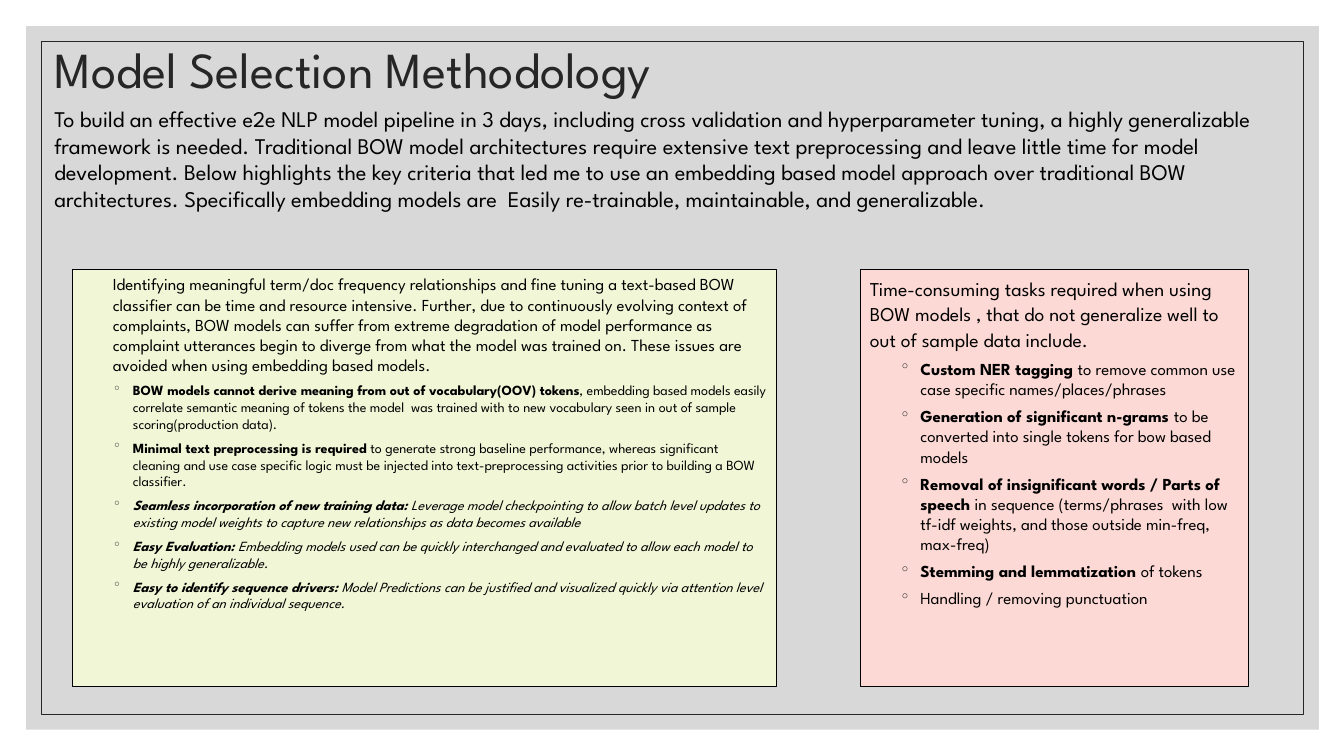
"""Build the Model Selection Methodology slide."""
import pptx
import pptx.util
import pptx.dml.color
import pptx.enum.shapes
import pptx.enum.text
import pptx.oxml.ns
from lxml import etree

Inches, Pt = pptx.util.Inches, pptx.util.Pt
FONT = "League Spartan"
COLORS = {
    "backdrop": "BFBFBF", "dark": "262626", "black": "000000",
    "benefits": "F1F6D6", "drawbacks": "FCD9D5",
}


def add_run(paragraph, text, size, color="black", bold=False, italic=False):
    run = paragraph.add_run()
    run.text = text
    run.font.name = FONT
    run.font.size = Pt(size)
    run.font.bold = bold
    run.font.italic = italic
    run.font.color.rgb = pptx.dml.color.RGBColor.from_string(COLORS[color])


def add_panel(left, top, width, height, fill=None, line=None, weight=0.75):
    panel = slide.shapes.add_shape(
        pptx.enum.shapes.MSO_SHAPE.RECTANGLE,
        Inches(left), Inches(top), Inches(width), Inches(height))
    panel.shadow.inherit = False
    if fill:
        panel.fill.solid()
        panel.fill.fore_color.rgb = pptx.dml.color.RGBColor.from_string(COLORS[fill])
    else:
        panel.fill.background()
    if line:
        panel.line.color.rgb = pptx.dml.color.RGBColor.from_string(COLORS[line])
        panel.line.width = Pt(weight)
    else:
        panel.line.fill.background()
    return panel


prs = pptx.Presentation()
prs.slide_width, prs.slide_height = Inches(13.33), Inches(7.5)
slide = prs.slides.add_slide(prs.slide_layouts[5])

backdrop = add_panel(0.26, 0.26, 12.82, 6.98, fill="backdrop")
backdrop_color = backdrop.fill._xPr.find(".//" + pptx.oxml.ns.qn("a:srgbClr"))
etree.SubElement(backdrop_color, pptx.oxml.ns.qn("a:alpha"), val="60000")
add_panel(0.41, 0.41, 12.52, 6.68, line="dark", weight=0.5)

title = slide.shapes.title
slide.shapes._spTree.append(title._element)
title.left, title.top = Inches(0.44), Inches(0.44)
title.width, title.height = Inches(11), Inches(0.56)
title.text_frame.auto_size = pptx.enum.text.MSO_AUTO_SIZE.NONE
title.text_frame.vertical_anchor = pptx.enum.text.MSO_ANCHOR.MIDDLE
heading = title.text_frame.paragraphs[0]
heading.alignment = pptx.enum.text.PP_ALIGN.LEFT
heading.line_spacing = 0.9
add_run(heading, "Model Selection Methodology", 36, "dark")

cards = [
    {
        "left": 0.72, "width": 6.98, "fill": "benefits",
        "lead": "Identifying meaningful term/doc frequency relationships and fine tuning a text-based BOW classifier can be time and resource intensive. Further, due to continuously evolving context of complaints, BOW models can suffer from extreme degradation of model performance as complaint utterances begin to diverge from what the model was trained on. These issues are avoided when using embedding based models.",
        "lead_size": 12, "lead_indent": 0.3, "lead_spacing": 1.0, "point_size": 10,
        "points": [
            ("BOW models cannot derive meaning from out of vocabulary(OOV) tokens", ", embedding based models easily correlate semantic meaning of tokens the model  was trained with to new vocabulary seen in out of sample scoring(production data).", False),
            ("Minimal text preprocessing is required ", "to generate strong baseline performance, whereas significant cleaning and use case specific logic must be injected into text-preprocessing activities prior to building a BOW classifier.", False),
            ("Seamless incorporation of new training data: ", "Leverage model checkpointing to allow batch level updates to existing model weights to capture new relationships as data becomes available", True),
            ("Easy Evaluation: ", "Embedding models used can be quickly interchanged and evaluated to allow each model to be highly generalizable.", True),
            ("Easy to identify sequence drivers: ", "Model Predictions can be justified and visualized quickly via attention level evaluation of an individual sequence.", True),
        ],
    },
    {
        "left": 8.53, "width": 3.85, "fill": "drawbacks",
        "lead": "Time-consuming tasks required when using BOW models , that do not generalize well to out of sample data include.",
        "lead_size": 14, "lead_indent": 0, "lead_spacing": 1.1, "point_size": 12,
        "points": [
            ("Custom NER tagging ", "to remove common use case specific names/places/phrases", False),
            ("Generation of significant n-grams ", "to be converted into single tokens for bow based models", False),
            ("Removal of insignificant words / Parts of speech ", "in sequence (terms/phrases  with low tf-idf weights, and those outside min-freq, max-freq)", False),
            ("Stemming and lemmatization ", "of tokens", False),
            ("", "Handling / removing punctuation", False),
        ],
    },
]

for card in cards:
    panel = add_panel(card["left"], 2.67, card["width"], 4.14, card["fill"], "black")
    frame = panel.text_frame
    frame.word_wrap = True
    frame.vertical_anchor = pptx.enum.text.MSO_ANCHOR.TOP
    lead = frame.paragraphs[0]
    lead.alignment = pptx.enum.text.PP_ALIGN.LEFT
    lead.line_spacing = card["lead_spacing"]
    lead._p.get_or_add_pPr().set("marL", str(Inches(card["lead_indent"])))
    add_run(lead, card["lead"], card["lead_size"])
    for term, detail, italic in card["points"]:
        point = frame.add_paragraph()
        point.level = 1
        point.alignment = pptx.enum.text.PP_ALIGN.LEFT
        point.space_before = Pt(5)
        properties = point._p.get_or_add_pPr()
        properties.set("marL", str(Inches(0.5)))
        properties.set("indent", str(Inches(-0.2)))
        bullet_color = etree.SubElement(properties, pptx.oxml.ns.qn("a:buClr"))
        etree.SubElement(bullet_color, pptx.oxml.ns.qn("a:srgbClr"), val=COLORS["dark"])
        etree.SubElement(properties, pptx.oxml.ns.qn("a:buFont"), typeface=FONT)
        etree.SubElement(properties, pptx.oxml.ns.qn("a:buChar"), char="◦")
        if term:
            add_run(point, term, card["point_size"], bold=True, italic=italic)
        add_run(point, detail, card["point_size"], italic=italic)

summary = slide.shapes.add_textbox(Inches(0.44), Inches(0.99), Inches(12.36), Inches(1.45))
summary.text_frame.word_wrap = True
add_run(summary.text_frame.paragraphs[0], "To build an effective e2e NLP model pipeline in 3 days, including cross validation and hyperparameter tuning, a highly generalizable framework is needed. Traditional BOW model architectures require extensive text preprocessing and leave little time for model development. Below highlights the key criteria that led me to use an embedding based model approach over traditional BOW architectures. Specifically embedding models are  Easily re-trainable, maintainable, and generalizable.", 16)

prs.save("out.pptx")
